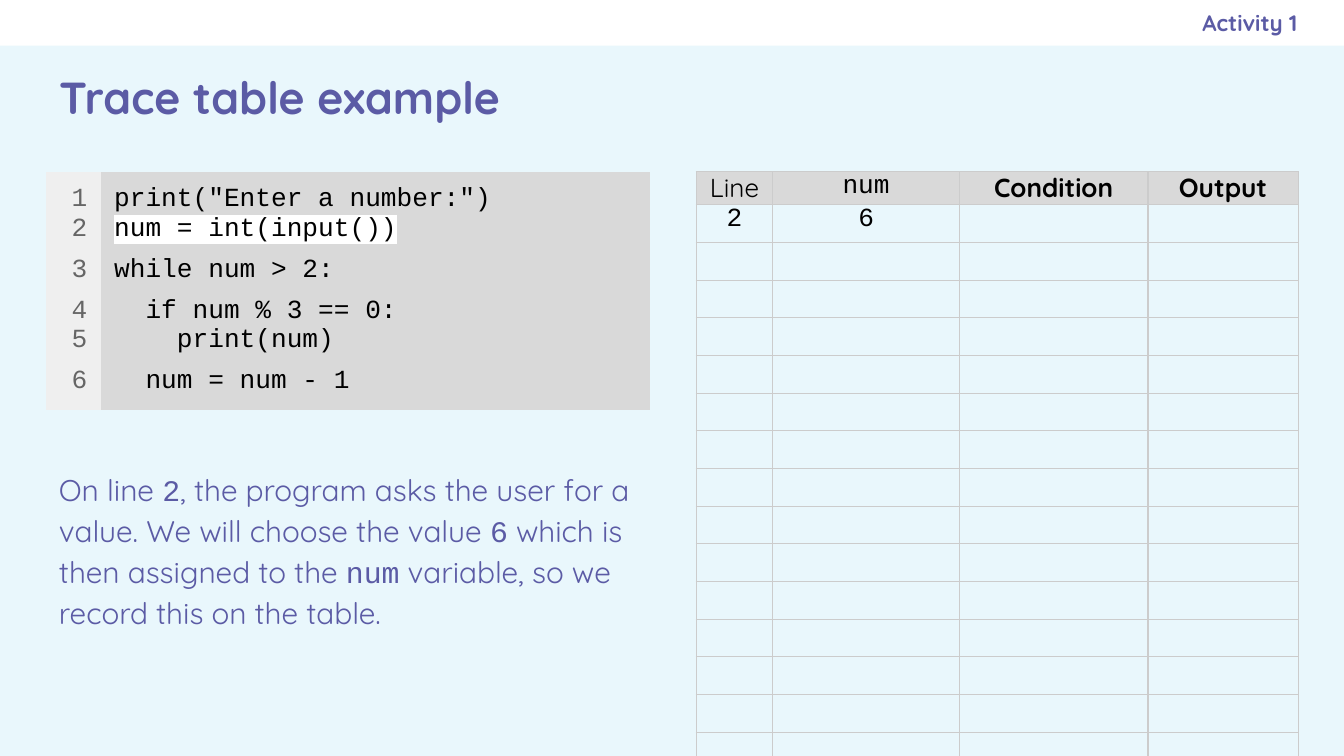
from lxml.etree import SubElement
from pptx import Presentation
from pptx.dml.color import RGBColor as Color
from pptx.enum.shapes import MSO_SHAPE as Shape
from pptx.enum.text import MSO_ANCHOR as Anchor, MSO_AUTO_SIZE as AutoSize, PP_ALIGN as Align
from pptx.oxml import parse_xml
from pptx.oxml.ns import nsdecls, qn
from pptx.util import Pt

HEADING = "Trace table example"
ACTIVITY = "Activity 1"
CODE = [
    ('print("Enter a number:")', 0),
    ("num = int(input())", 0),
    ("while num > 2:", 6),
    ("  if num % 3 == 0:", 6),
    ("    print(num)", 0),
    ("  num = num - 1", 6),
]
CURRENT_LINE = 2
EXPLANATION = [
    ("On line ", "body"), ("2", "code"),
    (", the program asks the user for a value. We will choose the value ", "body"),
    ("6", "code"), (" which is then assigned to the ", "body"), ("num", "code"),
    (" variable, so we record this on the table.", "body"),
]
TRACE_HEADER = [("Line", "body", False), ("num", "code", False),
                ("Condition", "body", True), ("Output", "body", True)]
TRACE_VALUES = [["2", "6", "", ""]]
TRACE_ROWS = 16
TRACE_COLUMNS = [41, 100, 101, 80.5]
CODE_COLUMNS = [29.5, 294]

THEME = {
    "background": "E9F7FC", "bar": "FFFFFF", "accent": "5B5BA5", "text": "000000",
    "number": "666666", "gutter": "EFEFEF", "panel": "D9D9D9", "border": "CCCCCC",
    "highlight": "FFFFFF", "body": "Quicksand", "code": "Courier New",
    "heading_size": 24, "text_size": 16, "table_size": 14, "label_size": 12,
}
WIDTH, HEIGHT = 720, 405
LEFT, BAR_HEIGHT, TABLE_TOP = 24.5, 24.5, 92
HEADER_HEIGHT, ROW_HEIGHT, CODE_HEIGHT = 17.7, 20.2, 127
NO_STYLE = "{2D5ABB26-0587-4C30-8999-92F81FD0307C}"


def rgb(name):
    return Color.from_string(THEME[name])


def write(paragraph, text, font="body", size="table_size", color="text", bold=False,
          align=Align.LEFT, before=0, highlight=None):
    paragraph.alignment = align
    if before:
        paragraph.space_before = Pt(before)
    run = paragraph.add_run()
    run.text = text
    run.font.name = THEME[font]
    run.font.size = Pt(THEME[size])
    run.font.bold = bold
    run.font.color.rgb = rgb(color)
    if highlight:
        mark = parse_xml(f'<a:highlight {nsdecls("a")}><a:srgbClr val="{THEME[highlight]}"/></a:highlight>')
        run.font._element.find(qn("a:latin")).addprevious(mark)


def set_frame(frame, right=7.2, anchor=Anchor.TOP):
    frame.word_wrap = True
    frame.auto_size = AutoSize.NONE
    frame.vertical_anchor = anchor
    frame.margin_left = frame.margin_top = frame.margin_bottom = Pt(7.2)
    frame.margin_right = Pt(right)


def add_text_box(slide, left, top, width, height, **frame_format):
    box = slide.shapes.add_textbox(Pt(left), Pt(top), Pt(width), Pt(height))
    set_frame(box.text_frame, **frame_format)
    return box.text_frame.paragraphs[0]


def add_table(slide, left, columns, rows):
    shape = slide.shapes.add_table(len(rows), len(columns), Pt(left), Pt(TABLE_TOP),
                                   Pt(sum(columns)), Pt(sum(rows)))
    table = shape.table
    table.first_row = table.horz_banding = False
    table._tbl.tblPr[0].text = NO_STYLE
    for column, width in zip(table.columns, columns):
        column.width = Pt(width)
    for row, height in zip(table.rows, rows):
        row.height = Pt(height)
    return table


def format_cell(cell, margin, fill=None, bordered=False):
    cell.margin_left = cell.margin_right = cell.margin_top = cell.margin_bottom = Pt(margin)
    if fill:
        cell.fill.solid()
        cell.fill.fore_color.rgb = rgb(fill)
    else:
        cell.fill.background()
    if bordered:
        properties = cell._tc.get_or_add_tcPr()
        for index, side in enumerate("LRTB"):
            properties.insert(index, parse_xml(
                f'<a:ln{side} {nsdecls("a")} w="{Pt(0.75)}"><a:solidFill>'
                f'<a:srgbClr val="{THEME["border"]}"/></a:solidFill></a:ln{side}>'))


def add_code(slide):
    table = add_table(slide, LEFT, CODE_COLUMNS, [CODE_HEIGHT])
    gutter, listing = table.cell(0, 0), table.cell(0, 1)
    format_cell(gutter, 7.2, "gutter")
    format_cell(listing, 7.2, "panel")
    for number, (line, before) in enumerate(CODE, 1):
        numbers, lines = (
            cell.text_frame.paragraphs[0] if number == 1 else cell.text_frame.add_paragraph()
            for cell in (gutter, listing))
        write(numbers, str(number), font="code", color="number", align=Align.RIGHT, before=before)
        write(lines, line, font="code", before=before,
              highlight="highlight" if number == CURRENT_LINE else None)


def add_trace(slide):
    table = add_table(slide, 373, TRACE_COLUMNS, [HEADER_HEIGHT] + [ROW_HEIGHT] * TRACE_ROWS)
    values = [[(text, "code", False) for text in row] for row in TRACE_VALUES]
    blank = [[("", "code", False)] * len(TRACE_COLUMNS)] * (TRACE_ROWS - len(values))
    for row, entries in enumerate([TRACE_HEADER] + values + blank):
        for column, (text, font, bold) in enumerate(entries):
            cell = table.cell(row, column)
            format_cell(cell, 0, "panel" if row == 0 else None, bordered=True)
            paragraph = cell.text_frame.paragraphs[0]
            if text:
                write(paragraph, text, font=font, bold=bold, align=Align.CENTER)
            else:
                SubElement(paragraph._p, qn("a:endParaRPr"), sz=str(THEME["table_size"] * 100))


def main():
    presentation = Presentation()
    presentation.slide_width, presentation.slide_height = Pt(WIDTH), Pt(HEIGHT)
    slide = presentation.slides.add_slide(presentation.slide_layouts[5])
    slide.background.fill.solid()
    slide.background.fill.fore_color.rgb = rgb("background")

    bar = slide.shapes.add_shape(Shape.RECTANGLE, 0, 0, Pt(WIDTH), Pt(BAR_HEIGHT))
    bar.shadow.inherit = False
    bar.fill.solid()
    bar.fill.fore_color.rgb = rgb("bar")
    bar.line.fill.background()

    title = slide.shapes.title
    title.left, title.top = Pt(LEFT), Pt(BAR_HEIGHT)
    title.width, title.height = Pt(WIDTH - 2 * LEFT), Pt(55)
    set_frame(title.text_frame, anchor=Anchor.MIDDLE)
    write(title.text_frame.paragraphs[0], HEADING, size="heading_size", color="accent", bold=True)

    label = add_text_box(slide, 414, 0, 281, BAR_HEIGHT, right=0, anchor=Anchor.MIDDLE)
    write(label, ACTIVITY, size="label_size", color="accent", bold=True, align=Align.RIGHT)

    explanation = add_text_box(slide, LEFT, 242.6, 322.6, 134.6)
    explanation.line_spacing = 1.15
    explanation.space_after = Pt(16)
    for text, font in EXPLANATION:
        write(explanation, text, font=font, size="text_size", color="accent")

    add_trace(slide)
    add_code(slide)
    presentation.save("out.pptx")


if __name__ == "__main__":
    main()
